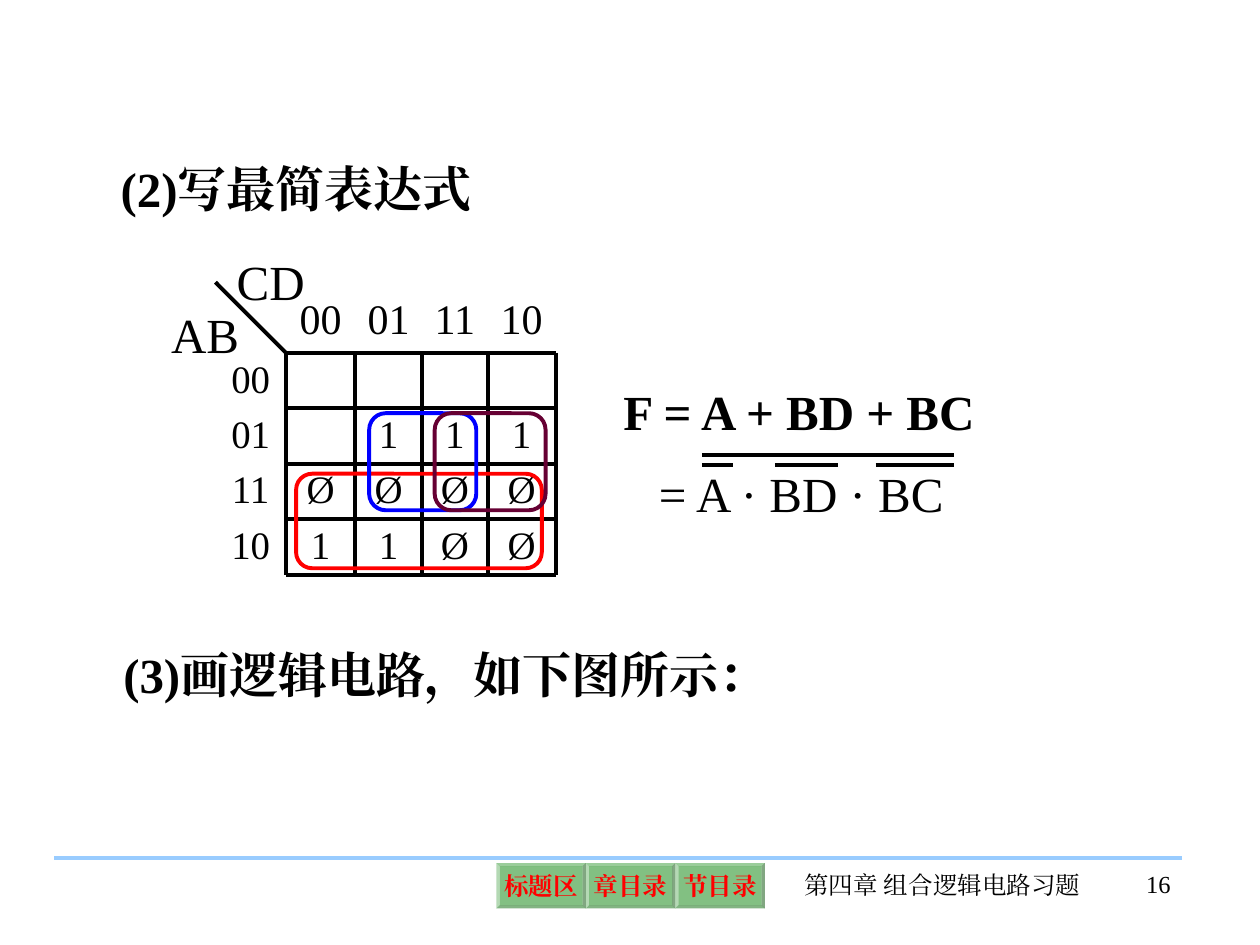
from itertools import pairwise
from lxml import etree
from pptx import Presentation
from pptx.dml.color import RGBColor
from pptx.enum.shapes import MSO_CONNECTOR, MSO_SHAPE
from pptx.enum.text import MSO_ANCHOR, PP_ALIGN
from pptx.oxml.ns import qn
from pptx.util import Inches, Pt

BLACK = RGBColor(0, 0, 0)
RED = RGBColor(255, 0, 0)
BLUE = RGBColor(0, 0, 255)
PLUM = RGBColor(0x66, 0, 0x33)
SKY = RGBColor(0x99, 0xCC, 0xFF)
GREEN = RGBColor(0, 0x80, 0)
FONT = "Times New Roman"


def fill_text(frame, text, size, color=BLACK, bold=False, align=PP_ALIGN.LEFT):
    para = frame.paragraphs[0]
    para.alignment = align
    run = para.add_run()
    run.text = text
    font = run.font
    font.name, font.size, font.bold = FONT, Pt(size), bold
    font.color.rgb = color
    props = run._r.get_or_add_rPr()
    etree.SubElement(props, qn("a:ea")).set("typeface", FONT)
    return para


def set_pad(frame, pad):
    frame.margin_left = frame.margin_right = Inches(pad)
    frame.margin_top = frame.margin_bottom = Inches(pad)


def add_text(slide, box, text, size=28, **style):
    frame = slide.shapes.add_textbox(*map(Inches, box)).text_frame
    frame.word_wrap = True
    fill_text(frame, text, size, **style)
    return frame


def add_cell(slide, box, text, size, space):
    frame = add_text(slide, box, text, size, align=PP_ALIGN.CENTER)
    frame.vertical_anchor = MSO_ANCHOR.MIDDLE
    set_pad(frame, 0.02)
    frame.paragraphs[0].line_spacing = space


def add_line(slide, x1, y1, x2, y2, color=BLACK):
    ends = map(Inches, (x1, y1, x2, y2))
    line = slide.shapes.add_connector(MSO_CONNECTOR.STRAIGHT, *ends)
    line.line.color.rgb = color
    line.line.width = Pt(2.25)
    etree.SubElement(line._element.spPr, qn("a:effectLst"))


def add_loop(slide, box, color):
    loop = slide.shapes.add_shape(MSO_SHAPE.ROUNDED_RECTANGLE, *map(Inches, box))
    loop.adjustments[0] = 0.17
    loop.shadow.inherit = False
    loop.fill.background()
    loop.line.color.rgb = color
    loop.line.width = Pt(2.25)


def add_map(slide, left, top):
    cols = [left + x for x in (0, 0.56, 1.11, 1.64, 2.16, 2.7)]
    rows = [top] + [top + 0.56 + 0.44 * i for i in range(5)]
    add_text(slide, (left - 0.45, top + 0.13, 0.91, 0.57), "AB")
    add_text(slide, (left + 0.07, top - 0.29, 0.91, 0.57), "CD")
    table = (
        ("", "00", "01", "11", "10"),
        ("00", "", "", "", ""),
        ("01", "", "1", "1", "1"),
        ("11", "Ø", "Ø", "Ø", "Ø"),
        ("10", "1", "1", "Ø", "Ø"),
    )
    for i, ((y1, y2), texts) in enumerate(zip(pairwise(rows), table)):
        size, space = (22.2, 0.9) if i else (24, 1.0)
        for (x1, x2), text in zip(pairwise(cols), texts):
            if text:
                add_cell(slide, (x1, y1, x2 - x1, y2 - y1), text, size, space)
    add_line(slide, left, top, cols[1], rows[1])
    for x in cols[1:]:
        add_line(slide, x, rows[1], x, rows[-1])
    for y in rows[1:]:
        add_line(slide, cols[1], y, cols[-1], y)
    add_loop(slide, (left + 0.64, top + 1.52, 1.95, 0.75), RED)
    add_loop(slide, (left + 1.22, top + 1.04, 0.85, 0.77), BLUE)
    add_loop(slide, (left + 1.74, top + 1.04, 0.88, 0.77), PLUM)


def add_sums(slide, left, top):
    add_text(slide, (left, top, 3.3, 0.57), "F = A + BD + BC", bold=True)
    frame = add_text(slide, (left, top + 0.65, 3.3, 0.57), "= A · BD · BC")
    frame.margin_left = Inches(0.38)
    for x1, x2, y in (
        (0.72, 0.97, 0.71),
        (1.3, 1.8, 0.71),
        (2.1, 2.72, 0.71),
        (0.72, 2.72, 0.63),
    ):
        add_line(slide, left + x1, top + y, left + x2, top + y)


def add_button(slide, box, text):
    button = slide.shapes.add_shape(MSO_SHAPE.BEVEL, *map(Inches, box))
    button.adjustments[0] = 0.07
    button.shadow.inherit = False
    button.line.fill.background()
    button.fill.solid()
    button.fill.fore_color.rgb = GREEN
    tint = button._element.spPr.find(".//" + qn("a:srgbClr"))
    etree.SubElement(tint, qn("a:alpha")).set("val", "49000")
    frame = button.text_frame
    frame.word_wrap = False
    frame.vertical_anchor = MSO_ANCHOR.MIDDLE
    set_pad(frame, 0.04)
    fill_text(frame, text, 14, RED, True, PP_ALIGN.CENTER)


def add_footer(slide, left, top):
    add_line(slide, left, top, left + 8.95, top, SKY)
    for i, text in enumerate(("标题区", "章目录", "节目录")):
        add_button(slide, (left + 3.51 + 0.71 * i, top + 0.04, 0.71, 0.36), text)
    add_text(slide, (left + 5.72, top + 0.05, 2.66, 0.5),
             "第四章 组合逻辑电路习题", 14, align=PP_ALIGN.CENTER)
    add_text(slide, (left + 8.1, top + 0.04, 0.86, 0.5),
             "16", 14, align=PP_ALIGN.RIGHT)


def main():
    deck = Presentation()
    deck.slide_width, deck.slide_height = Inches(10), Inches(7.5)
    slide = deck.slides.add_slide(deck.slide_layouts[6])
    add_text(slide, (0.86, 1.21, 3.6, 0.57), "(2)写最简表达式", bold=True)
    add_map(slide, 1.71, 2.24)
    add_sums(slide, 4.85, 2.98)
    add_text(slide, (0.88, 5.07, 5.49, 0.57),
             "(3)画逻辑电路，如下图所示：", bold=True)
    add_footer(slide, 0.43, 6.81)
    deck.save("out.pptx")


if __name__ == "__main__":
    main()
